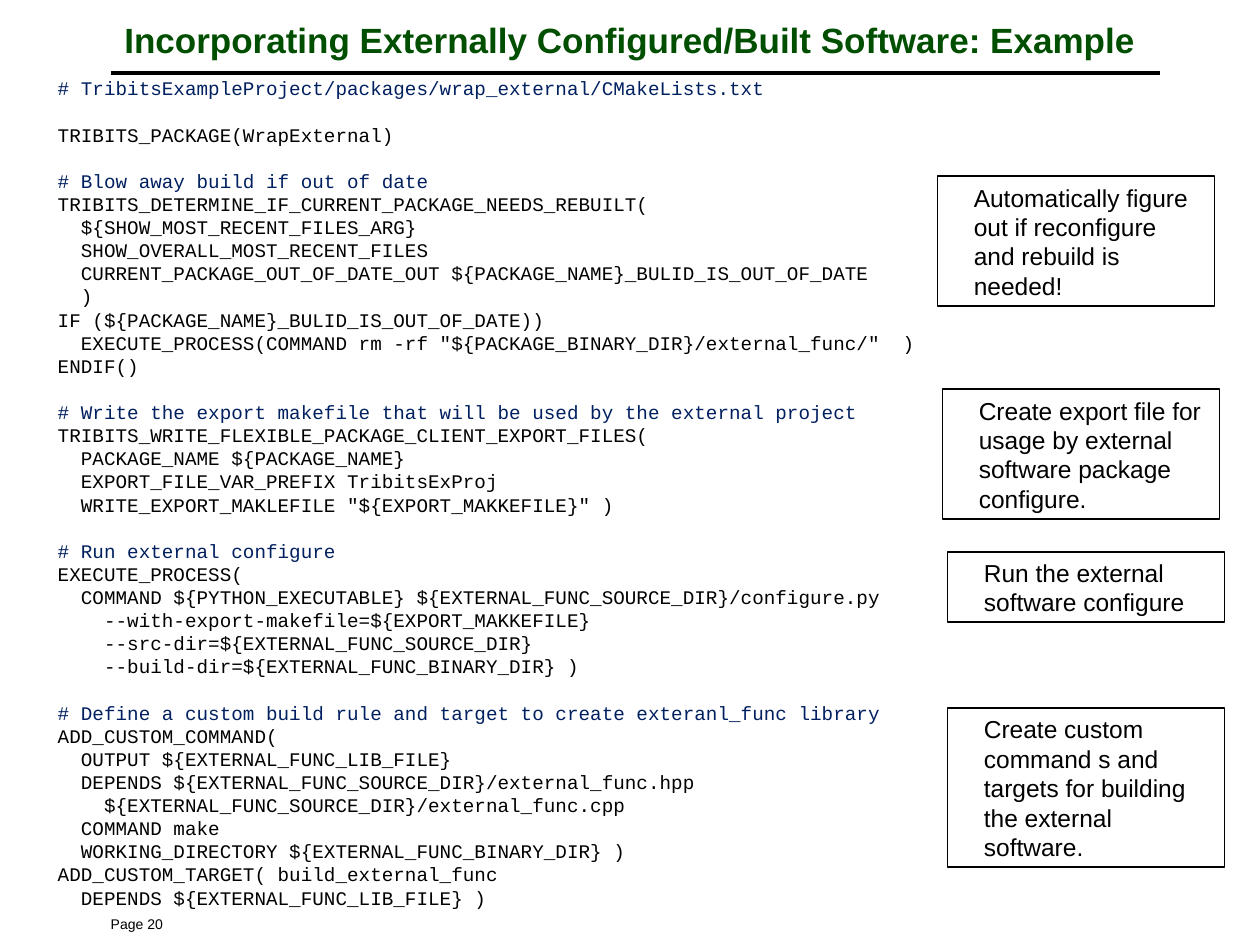
from dataclasses import dataclass

from lxml import etree
from pptx import Presentation
from pptx.dml.color import RGBColor
from pptx.enum.shapes import MSO_CONNECTOR, MSO_SHAPE
from pptx.enum.text import MSO_ANCHOR, PP_ALIGN
from pptx.oxml.ns import qn
from pptx.util import Inches, Pt

STRAIGHT = MSO_CONNECTOR.STRAIGHT
RECTANGLE = MSO_SHAPE.RECTANGLE
TOP, MIDDLE = MSO_ANCHOR.TOP, MSO_ANCHOR.MIDDLE
LEFT, CENTER = PP_ALIGN.LEFT, PP_ALIGN.CENTER
WIDTH, HEIGHT = Inches(10), Inches(7.5)
BLANK_LAYOUT = 6


@dataclass(frozen=True)
class Theme:
    """Colours, fonts, type sizes and spacing of the slide."""

    black: RGBColor = RGBColor(0, 0, 0)
    green: RGBColor = RGBColor.from_string("004E00")
    navy: RGBColor = RGBColor.from_string("002060")
    sans: str = "Arial"
    mono: str = "Courier New"
    title_size: float = 20
    code_size: float = 11
    note_size: float = 14
    footer_size: float = 8
    code_line: float = 13.2
    note_line: float = 16.8
    indent: float = 0.19
    rule_width: float = 2
    border_width: float = 1


THEME = Theme()

TITLE = "Incorporating Externally Configured/Built Software: Example"
FOOTER = "Page 20"
CODE_BLOCKS = [
    "# TribitsExampleProject/packages/wrap_external/CMakeLists.txt",
    "TRIBITS_PACKAGE(WrapExternal)",
    """# Blow away build if out of date
TRIBITS_DETERMINE_IF_CURRENT_PACKAGE_NEEDS_REBUILT(
  ${SHOW_MOST_RECENT_FILES_ARG}
  SHOW_OVERALL_MOST_RECENT_FILES
  CURRENT_PACKAGE_OUT_OF_DATE_OUT ${PACKAGE_NAME}_BULID_IS_OUT_OF_DATE
  )
IF (${PACKAGE_NAME}_BULID_IS_OUT_OF_DATE))
  EXECUTE_PROCESS(COMMAND rm -rf "${PACKAGE_BINARY_DIR}/external_func/"  )
ENDIF()""",
    """# Write the export makefile that will be used by the external project
TRIBITS_WRITE_FLEXIBLE_PACKAGE_CLIENT_EXPORT_FILES(
  PACKAGE_NAME ${PACKAGE_NAME}
  EXPORT_FILE_VAR_PREFIX TribitsExProj
  WRITE_EXPORT_MAKLEFILE "${EXPORT_MAKKEFILE}" )""",
    """# Run external configure
EXECUTE_PROCESS(
  COMMAND ${PYTHON_EXECUTABLE} ${EXTERNAL_FUNC_SOURCE_DIR}/configure.py
    --with-export-makefile=${EXPORT_MAKKEFILE}
    --src-dir=${EXTERNAL_FUNC_SOURCE_DIR}
    --build-dir=${EXTERNAL_FUNC_BINARY_DIR} )""",
    """# Define a custom build rule and target to create exteranl_func library
ADD_CUSTOM_COMMAND(
  OUTPUT ${EXTERNAL_FUNC_LIB_FILE}
  DEPENDS ${EXTERNAL_FUNC_SOURCE_DIR}/external_func.hpp
    ${EXTERNAL_FUNC_SOURCE_DIR}/external_func.cpp
  COMMAND make
  WORKING_DIRECTORY ${EXTERNAL_FUNC_BINARY_DIR} )
ADD_CUSTOM_TARGET( build_external_func
  DEPENDS ${EXTERNAL_FUNC_LIB_FILE} )""",
]
NOTES = [
    ((7.44, 1.4, 2.2, 1.03), "Automatically figure out if reconfigure and rebuild is needed!"),
    ((7.48, 3.09, 2.2, 1.03), "Create export file for usage by external software package configure."),
    ((7.52, 4.38, 2.2, 0.56), "Run the external software configure"),
    ((7.52, 5.62, 2.2, 1.26), "Create custom command s and targets for building the external software."),
]


def apply_format(target, values):
    """Set each named attribute of the target."""
    for name, value in values.items():
        setattr(target, name, value)


def font_format(name, size, bold=False):
    """Return the font values for one kind of text."""
    return {"name": name, "size": Pt(size), "bold": bold}


def write_paragraph(paragraph, text, font, color, layout):
    """Write one formatted paragraph."""
    paragraph.add_run().text = text
    apply_format(paragraph, layout)
    apply_format(paragraph.runs[0].font, font)
    paragraph.runs[0].font.color.rgb = color


def add_text_box(slide, box, anchor=TOP):
    """Add a wrapping text box and return its frame."""
    frame = slide.shapes.add_textbox(*map(Inches, box)).text_frame
    apply_format(frame, {"word_wrap": True, "vertical_anchor": anchor})
    return frame


def indent_paragraph(paragraph):
    """Indent the whole paragraph from the left."""
    paragraph._p.get_or_add_pPr().set("marL", str(Inches(THEME.indent)))


def add_header(slide, box, rule):
    """Place the centred title and the rule below it."""
    frame = add_text_box(slide, box, MIDDLE)
    write_paragraph(frame.paragraphs[0], TITLE, font_format(THEME.sans, THEME.title_size, True),
                    THEME.green, {"alignment": CENTER})
    left, top, width = map(Inches, rule)
    line = slide.shapes.add_connector(STRAIGHT, left, top, left + width, top)
    line.line.color.rgb = THEME.black
    line.line.width = Pt(THEME.rule_width)
    etree.SubElement(line._element.spPr, qn("a:effectLst"))


def add_code(slide, box):
    """Place the listing with one line of space between its blocks."""
    frame = add_text_box(slide, box)
    font = font_format(THEME.mono, THEME.code_size)
    for block_index, block in enumerate(CODE_BLOCKS):
        for line_index, text in enumerate(block.splitlines()):
            first = block_index == line_index == 0
            paragraph = frame.paragraphs[0] if first else frame.add_paragraph()
            gap = THEME.code_line if block_index and not line_index else 0
            color = THEME.navy if text.startswith("#") else THEME.black
            indent_paragraph(paragraph)
            write_paragraph(paragraph, text, font, color,
                            {"space_before": Pt(gap), "line_spacing": Pt(THEME.code_line)})


def add_note(slide, box, text):
    """Place one outlined note beside the listing."""
    shape = slide.shapes.add_shape(RECTANGLE, *map(Inches, box))
    shape.shadow.inherit = False
    shape.fill.background()
    shape.line.color.rgb = THEME.black
    shape.line.width = Pt(THEME.border_width)
    apply_format(shape.text_frame, {"word_wrap": True, "vertical_anchor": TOP})
    paragraph = shape.text_frame.paragraphs[0]
    indent_paragraph(paragraph)
    write_paragraph(paragraph, text, font_format(THEME.sans, THEME.note_size), THEME.black,
                    {"alignment": LEFT, "line_spacing": Pt(THEME.note_line)})


def add_footer(slide, box):
    """Place the page number."""
    frame = add_text_box(slide, box, MIDDLE)
    write_paragraph(frame.paragraphs[0], FOOTER, font_format(THEME.sans, THEME.footer_size),
                    THEME.black, {"alignment": LEFT})


def main():
    """Build and save the slide."""
    presentation = Presentation()
    apply_format(presentation, {"slide_width": WIDTH, "slide_height": HEIGHT})
    slide = presentation.slides.add_slide(presentation.slide_layouts[BLANK_LAYOUT])
    add_header(slide, (0.75, 0.1, 8.5, 0.42), (0.88, 0.58, 8.33))
    add_footer(slide, (0.78, 7.22, 2.08, 0.22))
    add_code(slide, (0.17, 0.56, 9.2, 6.7))
    for box, text in NOTES:
        add_note(slide, box, text)
    presentation.save("out.pptx")


if __name__ == "__main__":
    main()
